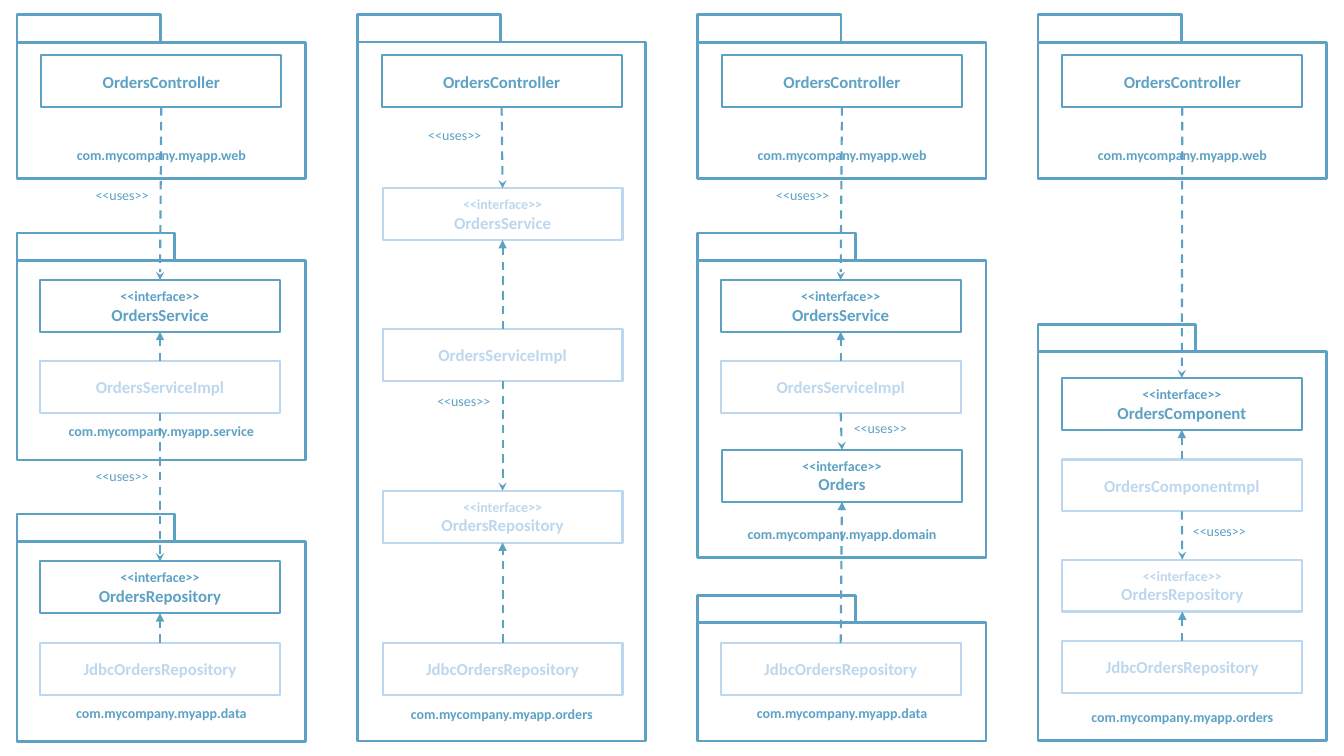
from itertools import pairwise
from typing import NamedTuple

from lxml.etree import SubElement
from pptx import Presentation
from pptx.dml.color import RGBColor
from pptx.enum.dml import MSO_LINE
from pptx.enum.shapes import MSO_CONNECTOR, MSO_SHAPE
from pptx.enum.text import MSO_ANCHOR, PP_ALIGN
from pptx.oxml.ns import qn
from pptx.util import Pt

BLUE, PALE = "5DA2C5", "BDD7EE"
FONT = "Calibri"
COLUMN_LEFT, COLUMN_PITCH = 12.2, 243.1
PACKAGE_W, TAB_H = 206, 19.6
NARROW_TAB, WIDE_TAB = 102.4, 112.6
BOX_W, BOX_H = 171.4, 37
LABEL_W, LABEL_H = 193, 19.4
USES_W = 52.6
TOP_SITE, BOTTOM_SITE = 0, 2


class Package(NamedTuple):
    top: float
    height: float
    tab_width: float
    label: str
    label_top: float


class Box(NamedTuple):
    name: str
    top: float
    color: str = PALE
    inset: float = 16.4


class Uses(NamedTuple):
    left: float
    top: float


class Column(NamedTuple):
    packages: list[Package]
    boxes: list[Box]
    uses: list[Uses]


WEB = Package(30.2, 97.4, NARROW_TAB, "com.mycompany.myapp.web", 100.8)
CONTROLLER = Box("OrdersController", 39.6, BLUE, 17.3)

COLUMNS = [
    Column(
        [WEB,
         Package(186, 142.6, WIDE_TAB, "com.mycompany.myapp.service", 298.1),
         Package(386.8, 142.6, WIDE_TAB, "com.mycompany.myapp.data", 499.7)],
        [CONTROLLER,
         Box("OrdersService", 200, BLUE),
         Box("OrdersServiceImpl", 258),
         Box("OrdersRepository", 401, BLUE),
         Box("JdbcOrdersRepository", 459.2)],
        [Uses(49, 129.6), Uses(49, 330.5)],
    ),
    Column(
        [Package(30, 499.4, NARROW_TAB, "com.mycompany.myapp.orders", 500.4)],
        [CONTROLLER,
         Box("OrdersService", 134.5, inset=18),
         Box("OrdersServiceImpl", 235, inset=18),
         Box("OrdersRepository", 350.6, inset=18),
         Box("JdbcOrdersRepository", 459.2, inset=18)],
        [Uses(43.5, 87.1), Uses(50, 276.5)],
    ),
    Column(
        [WEB,
         Package(186, 212, WIDE_TAB, "com.mycompany.myapp.domain", 371.5),
         Package(444.8, 84.5, WIDE_TAB, "com.mycompany.myapp.data", 499.7)],
        [CONTROLLER,
         Box("OrdersService", 200, BLUE),
         Box("OrdersServiceImpl", 258),
         Box("Orders", 321.4, BLUE, 17.3),
         Box("JdbcOrdersRepository", 459.2)],
        [Uses(49, 129.6), Uses(104.4, 295.9)],
    ),
    Column(
        [WEB,
         Package(251.2, 278, WIDE_TAB, "com.mycompany.myapp.orders", 502.6)],
        [CONTROLLER,
         Box("OrdersComponent", 270, BLUE, 17),
         Box("OrdersComponentmpl", 328.2, inset=17),
         Box("OrdersRepository", 399.8, inset=17.3),
         Box("JdbcOrdersRepository", 458, inset=17.3)],
        [Uses(103.5, 369.4)],
    ),
]


def rgb(color: str) -> RGBColor:
    return RGBColor.from_string(color)


def add_rect(left: float, top: float, width: float, height: float,
             color: str, weight: float):
    sp = s.shapes.add_shape(MSO_SHAPE.RECTANGLE, Pt(left), Pt(top), Pt(width), Pt(height))
    sp.shadow.inherit = False
    sp.fill.background()
    sp.line.color.rgb = rgb(color)
    sp.line.width = Pt(weight)
    return sp


def add_run(p, text: str, size: float, color: str, bold: bool) -> None:
    r = p.add_run()
    r.text = text
    r.font.name = FONT
    r.font.size = Pt(size)
    r.font.bold = bold
    r.font.color.rgb = rgb(color)


def add_label(text: str, left: float, top: float, width: float,
              bold: bool, align: PP_ALIGN) -> None:
    tf = s.shapes.add_textbox(Pt(left), Pt(top), Pt(width), Pt(LABEL_H)).text_frame
    tf.word_wrap = bold
    p = tf.paragraphs[0]
    p.alignment = align
    add_run(p, text, 10, BLUE, bold)


def add_package(package: Package, left: float) -> None:
    add_rect(left, package.top, PACKAGE_W, package.height, BLUE, 2)
    add_rect(left, package.top - TAB_H, package.tab_width, TAB_H, BLUE, 2)
    add_label(package.label, left + (PACKAGE_W - LABEL_W) / 2, package.label_top,
              LABEL_W, True, PP_ALIGN.CENTER)


def add_box(box: Box, left: float, is_interface: bool):
    sp = add_rect(left + box.inset, box.top, BOX_W, BOX_H, box.color, 1.5)
    tf = sp.text_frame
    tf.word_wrap = True
    tf.vertical_anchor = MSO_ANCHOR.MIDDLE
    tf.margin_top = tf.margin_bottom = 0
    p = tf.paragraphs[0]
    if is_interface:
        p.alignment = PP_ALIGN.CENTER
        add_run(p, "<<interface>>", 10, box.color, True)
        p = tf.add_paragraph()
    p.alignment = PP_ALIGN.CENTER
    add_run(p, box.name, 12, box.color, True)
    return sp


def add_arrow(start, start_site: int, end, end_site: int, head: str) -> None:
    line = s.shapes.add_connector(MSO_CONNECTOR.STRAIGHT, 0, 0, 0, 0)
    line.begin_connect(start, start_site)
    line.end_connect(end, end_site)
    line.line.color.rgb = rgb(BLUE)
    line.line.width = Pt(1.5)
    line.line.dash_style = MSO_LINE.DASH
    SubElement(line.line._get_or_add_ln(), qn("a:tailEnd"), type=head)
    SubElement(line._element.spPr, qn("a:effectLst"))


def add_column(column: Column, left: float) -> None:
    for package in column.packages:
        add_package(package, left)
    boxes = [add_box(box, left, i % 2 == 1) for i, box in enumerate(column.boxes)]
    for i, (upper, lower) in enumerate(pairwise(boxes)):
        if i % 2 == 0:
            add_arrow(upper, BOTTOM_SITE, lower, TOP_SITE, "stealth")
        else:
            add_arrow(lower, TOP_SITE, upper, BOTTOM_SITE, "triangle")
    for uses in column.uses:
        add_label("<<uses>>", left + uses.left, uses.top, USES_W, False, PP_ALIGN.LEFT)


prs = Presentation()
prs.slide_width, prs.slide_height = Pt(960), Pt(540)
s = prs.slides.add_slide(prs.slide_layouts[6])
for index, column in enumerate(COLUMNS):
    add_column(column, COLUMN_LEFT + index * COLUMN_PITCH)
prs.save("out.pptx")
